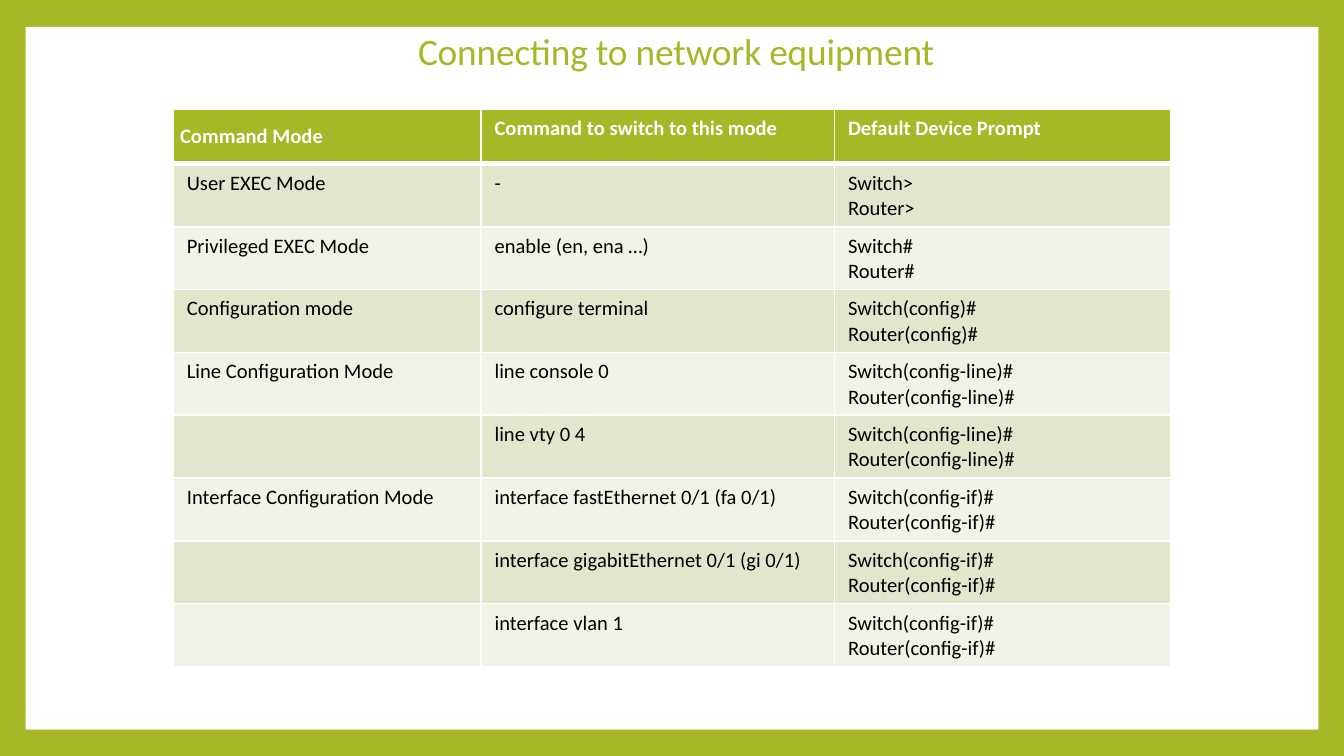
from dataclasses import dataclass

from pptx import Presentation
from pptx.dml.color import RGBColor
from pptx.enum.shapes import MSO_SHAPE
from pptx.enum.text import MSO_ANCHOR, PP_ALIGN
from pptx.oxml import parse_xml
from pptx.oxml.ns import nsdecls
from pptx.slide import Slide
from pptx.table import _Cell
from pptx.text.text import _Paragraph, _Run
from pptx.util import Inches, Pt


@dataclass(frozen=True)
class Theme:
    font: str = "Calibri"
    green: str = "A6B727"
    white: str = "FFFFFF"
    black: str = "000000"
    bands: tuple[str, str] = ("E1E6CD", "F1F3E8")
    title: float = 20
    body: float = 11


@dataclass(frozen=True)
class Mode:
    name: str
    command: str
    suffix: str
    broken: bool = False

    def cells(self) -> list[list[str]]:
        """Give the paragraphs of each cell; a broken prompt is one paragraph."""
        prompts = [device + self.suffix for device in ("Switch", "Router")]
        if self.broken:
            prompts = [" \n".join(prompts)]
        return [[self.name], [self.command], prompts]


THEME = Theme()
HEADS = ["Command Mode", "Command to switch to this mode", "Default Device Prompt"]
MODES = [
    Mode("User EXEC Mode", "-", ">", broken=True),
    Mode("Privileged EXEC Mode", "enable (en, ena …)", "#", broken=True),
    Mode("Configuration mode", "configure terminal", "(config)#"),
    Mode("Line Configuration Mode", "line console 0", "(config-line)#"),
    Mode("", "line vty 0 4", "(config-line)#"),
    Mode("Interface Configuration Mode", "interface fastEthernet 0/1 (fa 0/1)",
         "(config-if)#"),
    Mode("", "interface gigabitEthernet 0/1 (gi 0/1)", "(config-if)#"),
    Mode("", "interface vlan 1", "(config-if)#"),
]
WIDTHS = [2.29, 2.63, 2.5]
ROW = 0.41


def add_run(para: _Paragraph, text: str, size: float, color: str,
            bold: bool = False) -> _Run:
    run = para.add_run()
    run.text = text
    run.font.name = THEME.font
    run.font.size = Pt(size)
    run.font.bold = bold
    run.font.color.rgb = RGBColor.from_string(color)
    return run


def add_frame(slide: Slide) -> None:
    """Colour the background and lay the white panel on it."""
    back = slide.background.fill
    back.solid()
    back.fore_color.rgb = RGBColor.from_string(THEME.green)
    panel = slide.shapes.add_shape(MSO_SHAPE.RECTANGLE, Inches(0.19), Inches(0.2),
                                   Inches(9.62), Inches(5.23))
    panel.shadow.inherit = False
    panel.fill.solid()
    panel.fill.fore_color.rgb = RGBColor.from_string(THEME.white)
    panel.line.fill.background()


def add_title(slide: Slide, text: str) -> None:
    box = slide.shapes.add_textbox(Inches(1.09), Inches(0.29), Inches(7.87), Inches(0.27))
    frame = box.text_frame
    frame.word_wrap = True
    frame.vertical_anchor = MSO_ANCHOR.MIDDLE
    frame.margin_left = frame.margin_right = frame.margin_bottom = 0
    frame.margin_top = Inches(0.01)
    para = frame.paragraphs[0]
    para.alignment = PP_ALIGN.CENTER
    para.line_spacing = Pt(16.6)
    para._p.get_or_add_pPr().set("marL", str(Inches(0.01)))
    run = add_run(para, text, THEME.title, THEME.green)
    run._r.get_or_add_rPr().set("spc", "-10")


def add_edges(cell: _Cell, bottom: float) -> None:
    props = cell._tc.get_or_add_tcPr()
    for side, width in (("L", 1), ("R", 1), ("T", 1), ("B", bottom)):
        props.append(parse_xml(
            f'<a:ln{side} {nsdecls("a")} w="{Pt(width)}"><a:solidFill>'
            f'<a:srgbClr val="{THEME.white}"/></a:solidFill></a:ln{side}>'))


def fill_cell(cell: _Cell, texts: list[str], fill: str, color: str,
              head: bool = False) -> None:
    add_edges(cell, 3 if head else 1)
    cell.fill.solid()
    cell.fill.fore_color.rgb = RGBColor.from_string(fill)
    frame = cell.text_frame
    for i, text in enumerate(texts):
        para = frame.add_paragraph() if i else frame.paragraphs[0]
        para.font.size = Pt(THEME.body)
        for j, line in enumerate(text.split("\n")):
            if j:
                para.add_line_break()
            if line:
                add_run(para, line, THEME.body, color, head)


def add_modes(slide: Slide) -> None:
    holder = slide.shapes.add_table(len(MODES) + 1, len(HEADS), Inches(1.29),
                                    Inches(0.81), Inches(sum(WIDTHS)), Inches(4.14))
    table = holder.table
    for column, width in zip(table.columns, WIDTHS):
        column.width = Inches(width)
    for row in table.rows:
        row.height = Inches(ROW)
    holder.height = Inches(4.14)
    for c, text in enumerate(HEADS):
        fill_cell(table.cell(0, c), [text], THEME.green, THEME.white, head=True)
    first = table.cell(0, 0)
    first.vertical_anchor = MSO_ANCHOR.MIDDLE
    first.margin_left = first.margin_right = Inches(0.05)
    for r, mode in enumerate(MODES):
        for c, texts in enumerate(mode.cells()):
            fill_cell(table.cell(r + 1, c), texts, THEME.bands[r % 2], THEME.black)


def main() -> None:
    deck = Presentation()
    deck.slide_width = Inches(10)
    deck.slide_height = Inches(10 * 9 / 16)
    slide = deck.slides.add_slide(deck.slide_layouts[6])
    add_frame(slide)
    add_title(slide, "Connecting to network equipment")
    add_modes(slide)
    deck.save("out.pptx")


if __name__ == "__main__":
    main()
